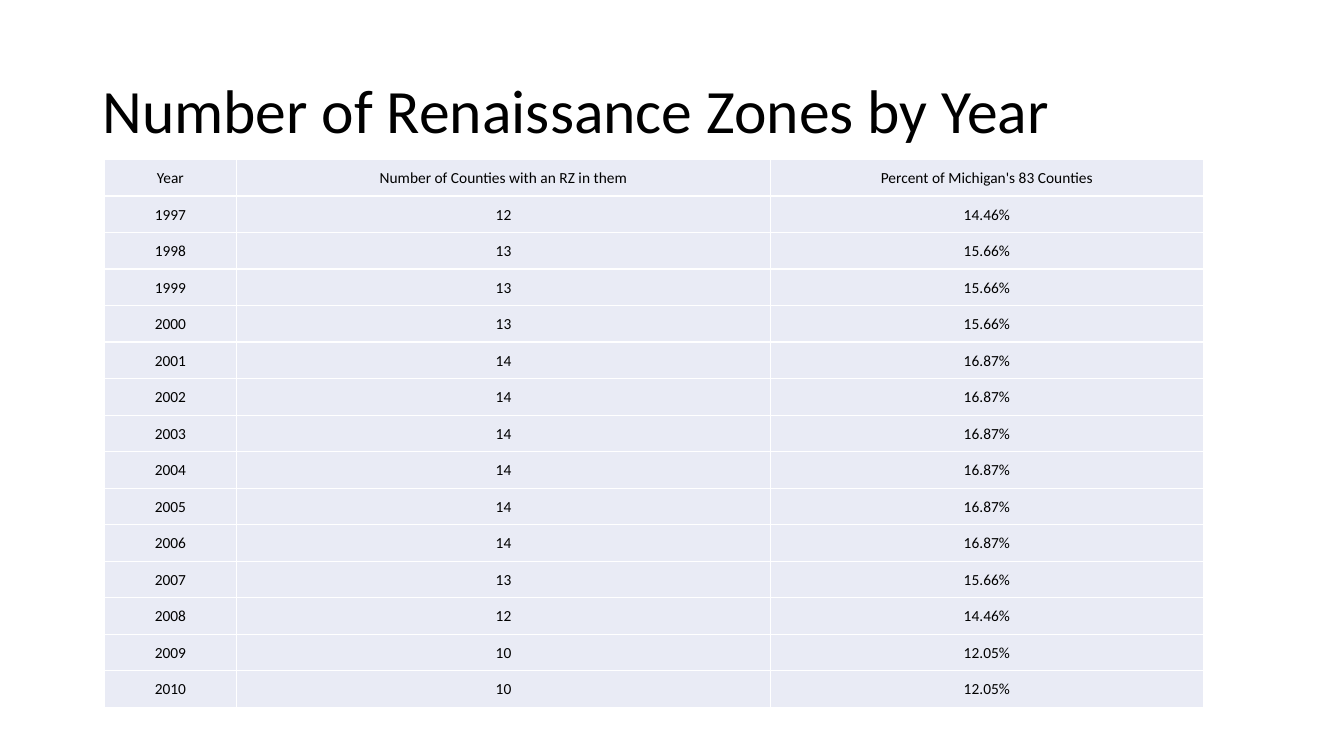
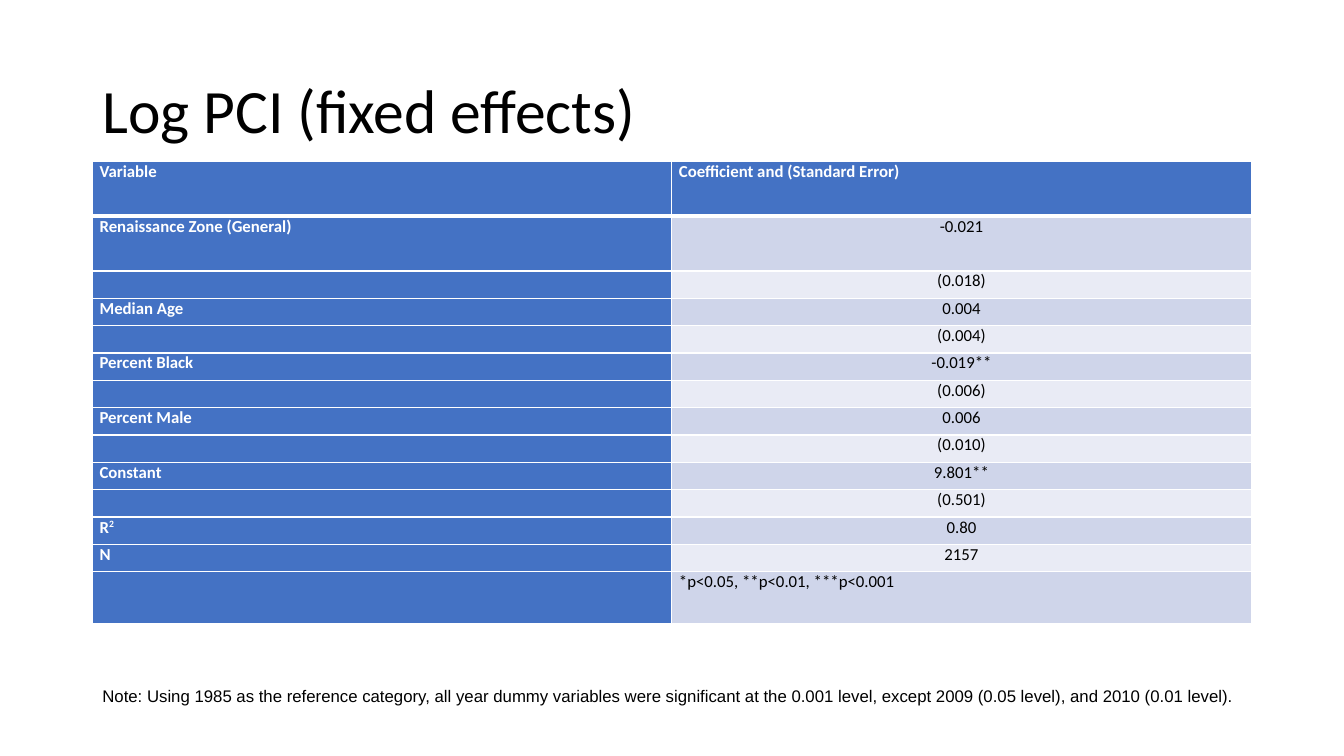
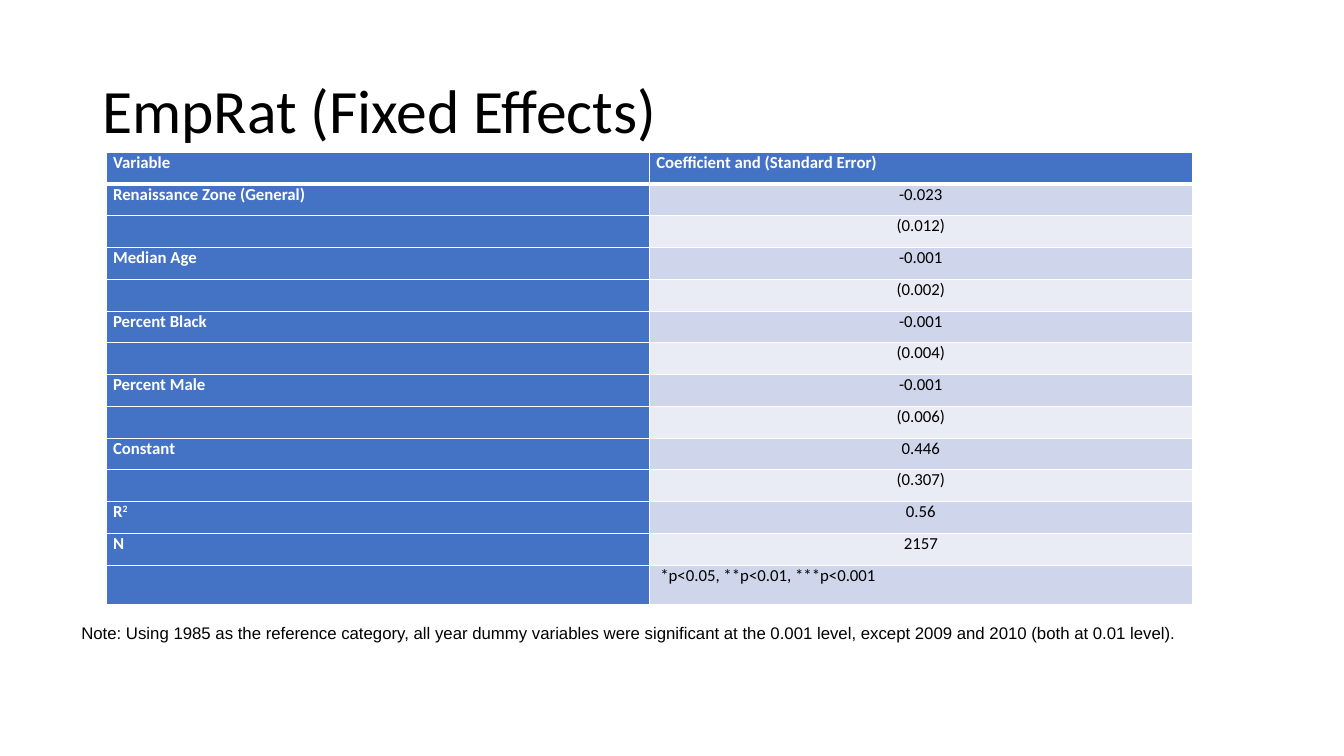
from dataclasses import dataclass

from lxml.etree import SubElement
from pptx import Presentation
from pptx.dml.color import RGBColor
from pptx.enum.text import MSO_ANCHOR as Anchor, PP_ALIGN as Align
from pptx.oxml.ns import qn
from pptx.util import Cm, Pt

BLACK, WHITE = "000000", "FFFFFF"
BLUE, BAND, PALE = "4472C4", "CFD5EA", "E9EBF5"
HEADING_FONT, NOTE_FONT = "Calibri", "Arial"
COUNTIES = 83
ZONE_COUNTS = (12, 13, 13, 13, 14, 14, 14, 14, 14, 14, 13, 12, 10, 10)
VARIABLES = (
    "Variable", "Renaissance Zone (General)", "", "Median Age", "",
    "Percent Black", "", "Percent Male", "", "Constant", "", "R^2", "N", "",
)
ESTIMATE_HEADER = "Coefficient and (Standard Error)"
LEGEND = "*p<0.05, **p<0.01, ***p<0.001"


@dataclass(frozen=True)
class TextStyle:
    size: float
    font: str = HEADING_FONT
    color: str = BLACK
    bold: bool = False
    align: Align = Align.LEFT


@dataclass(frozen=True)
class CellStyle:
    text: TextStyle
    fill: str
    anchor: Anchor = Anchor.TOP
    left: float = 0.18
    right: float = 0.18
    top: float = 0
    top_line: float = 1
    bottom_line: float = 1


@dataclass(frozen=True)
class Box:
    left: float
    top: float
    width: float
    height: float


@dataclass(frozen=True)
class Regression:
    title: str
    left: float
    top: float
    column_width: float
    row_heights: tuple[float, ...]
    estimates: tuple[str, ...]
    legend_inset: float
    note: str
    note_box: Box


TITLE = TextStyle(44)
NOTE = TextStyle(12, NOTE_FONT)
LABEL = TextStyle(12, color=WHITE, bold=True)
VALUE = TextStyle(12, align=Align.CENTER)
ZONE_CELL = CellStyle(TextStyle(11, align=Align.CENTER), PALE, Anchor.MIDDLE,
                      left=0.03, right=0.03, top=0.03)
TITLE_BOX = Box(2.33, 1.01, 29.21, 3.68)

REGRESSIONS = (
    Regression(
        "Log PCI (fixed effects)", 2.33, 4.07, 14.6,
        (1.38,) * 2 + (0.69,) * 11 + (1.3,),
        ("-0.021", "(0.018)", "0.004", "(0.004)", "-0.019**", "(0.006)",
         "0.006", "(0.010)", "9.801**", "(0.501)", "0.80", "2157"),
        0.18,
        "Note: Using 1985 as the reference category, all year dummy variables were "
        "significant at the 0.001 level, except 2009 (0.05 level), and 2010 (0.01 level).",
        Box(2.33, 16.9, 31, 1.28),
    ),
    Regression(
        "EmpRat (Fixed Effects)", 2.67, 3.84, 13.69,
        (0.8,) * 13 + (1,),
        ("-0.023", "(0.012)", "-0.001", "(0.002)", "-0.001", "(0.004)",
         "-0.001", "(0.006)", "0.446", "(0.307)", "0.56", "2157"),
        0.28,
        "Note: Using 1985 as the reference category, all year dummy variables were "
        "significant at the 0.001 level, except 2009 and 2010 (both at 0.01 level).",
        Box(1.8, 15.3, 31, 1.28),
    ),
)


def rgb(color: str) -> RGBColor:
    return RGBColor.from_string(color)


def add_run(p, text: str, style: TextStyle, superscript: bool = False) -> None:
    r = p.add_run()
    r.text = text
    r.font.size = Pt(style.size)
    r.font.name = style.font
    r.font.bold = style.bold
    r.font.color.rgb = rgb(style.color)
    if superscript:
        r.font._element.set("baseline", "30000")


def write(tf, text: str, style: TextStyle) -> None:
    p = tf.paragraphs[0]
    p.alignment = style.align
    base, _, exponent = text.partition("^")
    if base:
        add_run(p, base, style)
    if exponent:
        add_run(p, exponent, style, superscript=True)
    if not text:
        SubElement(p._p, qn("a:endParaRPr"), sz=str(int(style.size * 100)))


def add_text(slide, box: Box, text: str, style: TextStyle):
    sp = slide.shapes.add_textbox(Cm(box.left), Cm(box.top), Cm(box.width), Cm(box.height))
    tf = sp.text_frame
    tf.word_wrap = True
    tf.vertical_anchor = Anchor.MIDDLE
    write(tf, text, style)
    return tf.paragraphs[0]


def add_slide(prs, title: str):
    slide = prs.slides.add_slide(prs.slide_layouts[6])
    add_text(slide, TITLE_BOX, title, TITLE).line_spacing = 0.9
    return slide


def add_border(cell, side: str, width: float) -> None:
    ln = SubElement(cell._tc.get_or_add_tcPr(), qn(f"a:ln{side}"), w=str(Pt(width)))
    SubElement(SubElement(ln, qn("a:solidFill")), qn("a:srgbClr"), val=WHITE)


def fill_cell(cell, text: str, style: CellStyle) -> None:
    for side, width in zip("LRTB", (1, 1, style.top_line, style.bottom_line)):
        add_border(cell, side, width)
    cell.fill.solid()
    cell.fill.fore_color.rgb = rgb(style.fill)
    cell.vertical_anchor = style.anchor
    cell.margin_left, cell.margin_right = Cm(style.left), Cm(style.right)
    cell.margin_top, cell.margin_bottom = Cm(style.top), 0
    write(cell.text_frame, text, style.text)


def add_table(slide, left: float, top: float, widths, heights, rows, style_at) -> None:
    table = slide.shapes.add_table(
        len(heights), len(widths), Cm(left), Cm(top), Cm(sum(widths)), Cm(sum(heights))
    ).table
    table.first_row = table.horz_banding = False
    for column, width in zip(table.columns, widths):
        column.width = Cm(width)
    for i, (row, height) in enumerate(zip(rows, heights)):
        table.rows[i].height = Cm(height)
        for j, text in enumerate(row):
            fill_cell(table.cell(i, j), text, style_at(i, j))


def add_zone_slide(prs) -> None:
    slide = add_slide(prs, "Number of Renaissance Zones by Year")
    rows = [("Year", "Number of Counties with an RZ in them",
             f"Percent of Michigan's {COUNTIES} Counties")]
    rows += [(str(year), str(count), f"{count / COUNTIES:.2%}")
             for year, count in enumerate(ZONE_COUNTS, 1997)]
    add_table(slide, 2.63, 4.02, (3.33, 13.46, 10.9), (0.92,) * len(rows), rows,
              lambda i, j: ZONE_CELL)


def add_regression_slide(prs, reg: Regression) -> None:
    last = len(VARIABLES) - 1

    def style_at(i: int, j: int) -> CellStyle:
        top_line, bottom_line = (3 if i == 1 else 1), (3 if i == 0 else 1)
        if i == 0 or j == 0:
            return CellStyle(LABEL, BLUE, top_line=top_line, bottom_line=bottom_line)
        fill = BAND if i % 2 else PALE
        if i == last:
            return CellStyle(TextStyle(12), fill, left=reg.legend_inset)
        return CellStyle(VALUE, fill, top_line=top_line)

    slide = add_slide(prs, reg.title)
    rows = list(zip(VARIABLES, (ESTIMATE_HEADER, *reg.estimates, LEGEND)))
    add_table(slide, reg.left, reg.top, (reg.column_width,) * 2, reg.row_heights,
              rows, style_at)
    add_text(slide, reg.note_box, reg.note, NOTE)


def main() -> None:
    prs = Presentation()
    prs.slide_width, prs.slide_height = Cm(33.87), Cm(19.05)
    add_zone_slide(prs)
    for reg in REGRESSIONS:
        add_regression_slide(prs, reg)
    prs.save("out.pptx")


if __name__ == "__main__":
    main()
